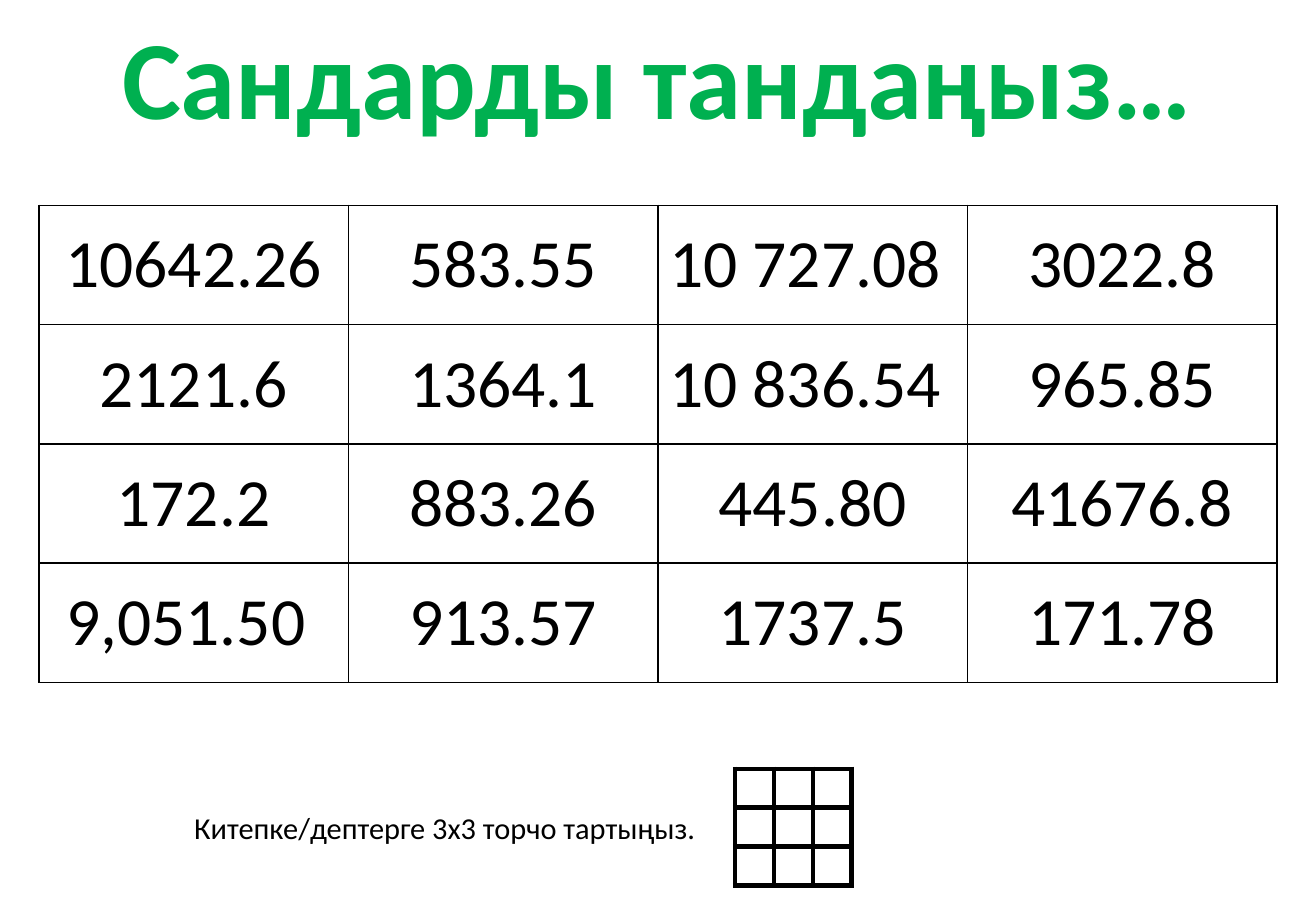
"""Build a slide with a grid of numbers to choose from and a blank 3x3 grid."""
from dataclasses import dataclass

from lxml import etree
from pptx import Presentation
from pptx.dml.color import RGBColor
from pptx.enum.text import MSO_ANCHOR, MSO_AUTO_SIZE, PP_ALIGN
from pptx.oxml.ns import qn
from pptx.slide import Slide
from pptx.table import _Cell
from pptx.text.text import TextFrame
from pptx.util import Inches, Pt

MIDDLE = MSO_ANCHOR.MIDDLE
TOP = MSO_ANCHOR.TOP
NO_FIT = MSO_AUTO_SIZE.NONE
CENTER = PP_ALIGN.CENTER
LEFT = PP_ALIGN.LEFT

PAGE_WIDTH = Inches(10.83)
PAGE_HEIGHT = Inches(7.5)
TITLE_ONLY = 5


@dataclass(frozen=True)
class Theme:
    """Fonts, type sizes and colours of the slide."""

    font: str = "Calibri"
    title_size: int = 66
    number_size: int = 40
    caption_size: int = 18
    title_color: str = "00B050"
    ink: str = "000000"
    paper: str = "FFFFFF"


@dataclass(frozen=True)
class Frame:
    """A rectangle in percent of the slide's width and height."""

    left: float
    top: float
    width: float
    height: float

    def lengths(self) -> tuple[int, int, int, int]:
        """Return left, top, width and height in slide units."""
        return (
            round(PAGE_WIDTH * self.left / 100),
            round(PAGE_HEIGHT * self.top / 100),
            round(PAGE_WIDTH * self.width / 100),
            round(PAGE_HEIGHT * self.height / 100),
        )


@dataclass(frozen=True)
class Grid:
    """A table with equal cells and one border width."""

    frame: Frame
    rows: tuple[tuple[str, ...], ...]
    border: float


THEME = Theme()
TITLE_FRAME = Frame(7.29, 0.27, 85.32, 16.13)
CAPTION_FRAME = Frame(13.85, 88.13, 40.44, 5.33)
GRIDS = (
    Grid(
        Frame(2.95, 22.53, 94.09, 52.4),
        (
            ("10642.26", "583.55", "10 727.08 ", "3022.8"),
            ("2121.6", "1364.1", "10 836.54 ", "965.85"),
            ("172.2", "883.26", "445.80", "41676.8"),
            ("9,051.50 ", "913.57", "1737.5", "171.78"),
        ),
        border=1,
    ),
    Grid(Frame(55.86, 84.4, 8.86, 12.8), (("",) * 3,) * 3, border=3),
)


def write_text(frame: TextFrame, text: str, *, size: int, color: str = THEME.ink,
               bold: bool = False, align: PP_ALIGN = LEFT) -> None:
    """Write one formatted paragraph into a text frame."""
    para = frame.paragraphs[0]
    para.alignment = align
    span = para.add_run()
    span.text = text
    span.font.name = THEME.font
    span.font.size = Pt(size)
    span.font.bold = bold
    span.font.color.rgb = RGBColor.from_string(color)


def set_borders(cell: _Cell, width: float) -> None:
    """Draw a solid line on the four sides of a cell."""
    properties = cell._tc.get_or_add_tcPr()
    for side in ("a:lnL", "a:lnR", "a:lnT", "a:lnB"):
        line = etree.SubElement(properties, qn(side), w=str(Pt(width)))
        fill = etree.SubElement(line, qn("a:solidFill"))
        etree.SubElement(fill, qn("a:srgbClr"), val=THEME.ink)


def add_grid(page: Slide, grid: Grid) -> None:
    """Add a bordered table with equal columns and rows."""
    row_count, column_count = len(grid.rows), len(grid.rows[0])
    left, top, width, height = grid.frame.lengths()
    table = page.shapes.add_table(
        row_count, column_count, left, top, width, height).table
    table.first_row = False
    table.horz_banding = False
    for row_index, values in enumerate(grid.rows):
        for column_index, value in enumerate(values):
            cell = table.cell(row_index, column_index)
            cell.margin_left = cell.margin_right = 0
            cell.margin_top = cell.margin_bottom = 0
            cell.vertical_anchor = MIDDLE
            set_borders(cell, grid.border)
            cell.fill.solid()
            cell.fill.fore_color.rgb = RGBColor.from_string(THEME.paper)
            if value:
                write_text(cell.text_frame, value,
                           size=THEME.number_size, align=CENTER)


def add_title(page: Slide, text: str) -> None:
    """Place and fill the title placeholder."""
    box = page.shapes.title
    box.left, box.top, box.width, box.height = TITLE_FRAME.lengths()
    frame = box.text_frame
    frame.word_wrap = False
    frame.auto_size = NO_FIT
    frame.vertical_anchor = TOP
    write_text(frame, text, size=THEME.title_size, color=THEME.title_color,
               bold=True, align=CENTER)


def add_caption(page: Slide, text: str) -> None:
    """Add the instruction beside the blank grid."""
    box = page.shapes.add_textbox(*CAPTION_FRAME.lengths())
    box.text_frame.word_wrap = False
    write_text(box.text_frame, text, size=THEME.caption_size)


def main() -> None:
    """Build and save the deck."""
    deck = Presentation()
    deck.slide_width = PAGE_WIDTH
    deck.slide_height = PAGE_HEIGHT
    page = deck.slides.add_slide(deck.slide_layouts[TITLE_ONLY])
    add_title(page, "Сандарды тандаңыз…")
    for grid in GRIDS:
        add_grid(page, grid)
    add_caption(page, "Китепке/дептерге 3х3 торчо тартыңыз.")
    deck.save("out.pptx")


if __name__ == "__main__":
    main()
